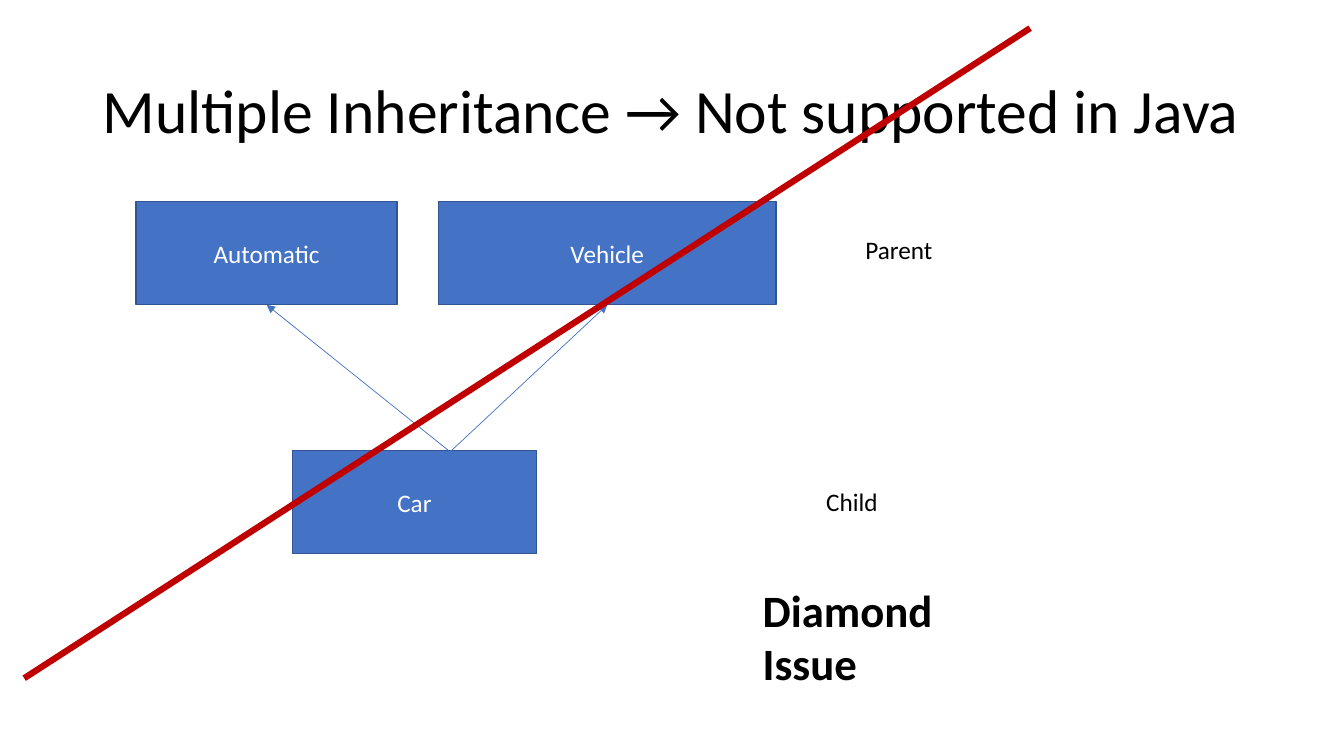
from lxml.etree import SubElement
from pptx import Presentation
from pptx.dml.color import RGBColor
from pptx.enum.shapes import MSO_CONNECTOR, MSO_SHAPE
from pptx.enum.text import MSO_ANCHOR, MSO_AUTO_SIZE, PP_ALIGN
from pptx.oxml.ns import qn
from pptx.util import Cm, Pt

FONT = "Calibri"
BLACK = RGBColor(0x00, 0x00, 0x00)
WHITE = RGBColor(0xFF, 0xFF, 0xFF)
BLUE = RGBColor(0x44, 0x72, 0xC4)
DARK_BLUE = RGBColor(0x32, 0x54, 0x91)
RED = RGBColor(0xC0, 0x00, 0x00)

CLASS_HEIGHT = 2.6
PARENT_TOP = 5.08
CHILD_TOP = 11.35
BOTTOM_SITE = 2


def write_text(frame, text, size=18, color=BLACK, bold=False,
               align=PP_ALIGN.LEFT, anchor=MSO_ANCHOR.TOP, spacing=1.0):
    """Fill a text frame with one formatted paragraph."""
    frame.vertical_anchor = anchor
    paragraph = frame.paragraphs[0]
    paragraph.alignment = align
    paragraph.line_spacing = spacing
    run = paragraph.add_run()
    run.text = text
    run.font.name = FONT
    run.font.size = Pt(size)
    run.font.bold = bold
    run.font.color.rgb = color


def add_title(slide, text):
    """Place and format the title placeholder."""
    title = slide.shapes.title
    title.left, title.top = Cm(2.33), Cm(1.01)
    title.width, title.height = Cm(29.21), Cm(3.68)
    write_text(title.text_frame, text, size=44,
               anchor=MSO_ANCHOR.MIDDLE, spacing=0.9)


def add_class_box(slide, name, left, top, width):
    """Draw a class as a blue rectangle and return it."""
    box = slide.shapes.add_shape(MSO_SHAPE.RECTANGLE, Cm(left), Cm(top),
                                 Cm(width), Cm(CLASS_HEIGHT))
    box.shadow.inherit = False
    box.fill.solid()
    box.fill.fore_color.rgb = BLUE
    box.line.color.rgb = DARK_BLUE
    box.line.width = Pt(1)
    write_text(box.text_frame, name, color=WHITE,
               align=PP_ALIGN.CENTER, anchor=MSO_ANCHOR.MIDDLE)
    return box


def add_line(slide, start, end, color, weight):
    """Draw a straight line without a shadow and return it."""
    line = slide.shapes.add_connector(
        MSO_CONNECTOR.STRAIGHT, *(Cm(value) for value in start + end))
    line.line.color.rgb = color
    line.line.width = Pt(weight)
    SubElement(line._element.spPr, qn("a:effectLst"))
    return line


def add_inheritance_arrow(slide, start, parent):
    """Point an arrow at the middle of the parent's lower edge."""
    arrow = add_line(slide, start, start, BLUE, 0.5)
    arrow.end_connect(parent, BOTTOM_SITE)
    SubElement(arrow.line._get_or_add_ln(), qn("a:tailEnd"), type="triangle")


def add_label(slide, text, left, top, width, height=1.03, **text_format):
    """Add a text box that does not wrap."""
    label = slide.shapes.add_textbox(Cm(left), Cm(top), Cm(width), Cm(height))
    label.text_frame.word_wrap = False
    label.text_frame.auto_size = MSO_AUTO_SIZE.SHAPE_TO_FIT_TEXT
    write_text(label.text_frame, text, **text_format)


def main():
    """Build the slide on multiple inheritance."""
    deck = Presentation()
    deck.slide_width, deck.slide_height = Cm(33.87), Cm(19.05)
    slide = deck.slides.add_slide(deck.slide_layouts[5])

    add_title(slide, "Multiple Inheritance → Not supported in Java")
    add_class_box(slide, "Car", 7.37, CHILD_TOP, 6.15)
    vehicle = add_class_box(slide, "Vehicle", 11.05, PARENT_TOP, 8.51)
    automatic = add_class_box(slide, "Automatic", 3.43, PARENT_TOP, 6.58)
    add_inheritance_arrow(slide, (11.05, 11.66), vehicle)
    add_inheritance_arrow(slide, (11.3, CHILD_TOP), automatic)

    add_label(slide, "Child", 20.57, 12.14, 1.83)
    add_label(slide, "Parent", 21.56, 5.77, 2.21)
    add_line(slide, (0.61, 17.09), (25.96, 0.71), RED, 4.5)
    add_label(slide, "Diamond Issue", 18.97, 14.55, 7.75 - 0.33, 1.63,
              size=32, bold=True)

    deck.save("out.pptx")


main()
